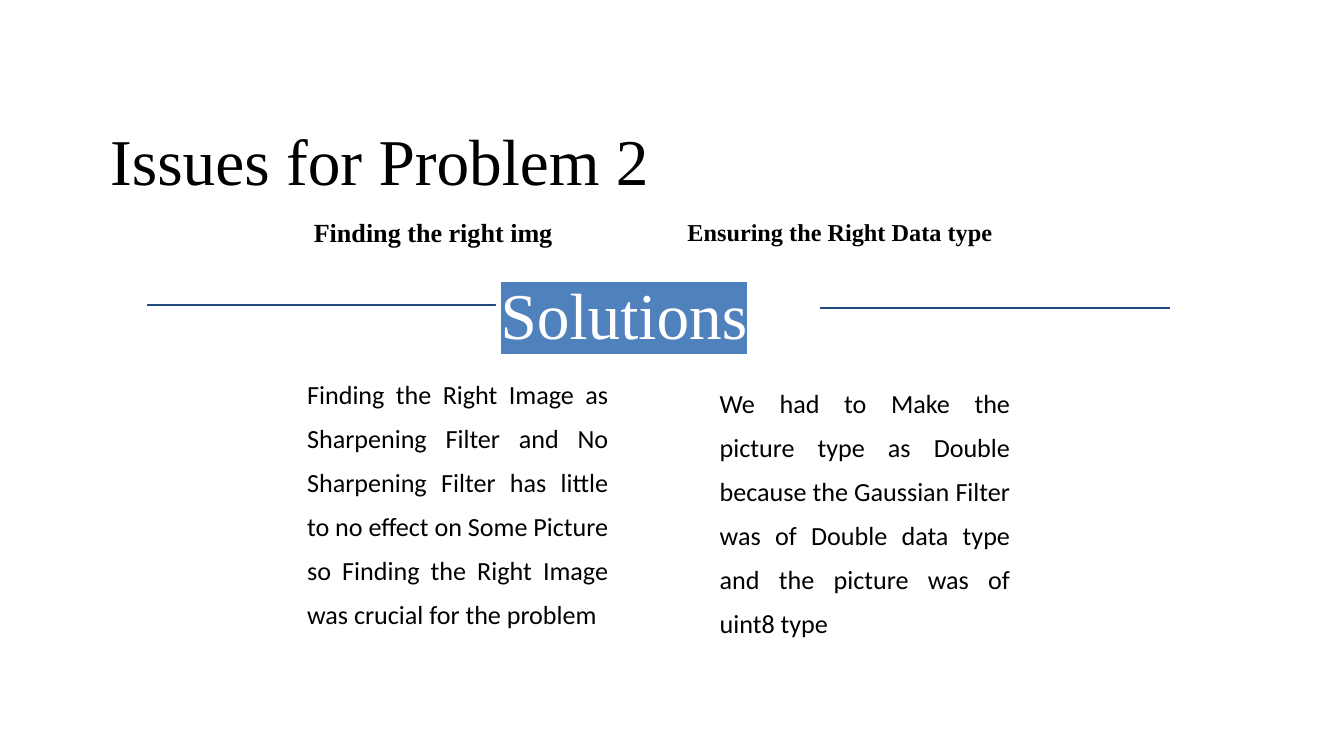
from dataclasses import dataclass

from lxml.etree import Element, SubElement
from pptx import Presentation
from pptx.dml.color import RGBColor
from pptx.enum.shapes import MSO_SHAPE
from pptx.enum.text import MSO_AUTO_SIZE, PP_ALIGN
from pptx.oxml.ns import qn
from pptx.slide import Slide
from pptx.util import Inches, Pt

SERIF = "Times New Roman"
SANS = "Calibri"


@dataclass
class Passage:
    words: str
    left: float
    top: float
    width: float
    height: float
    size: int
    font: str = SERIF
    spacing: float = 1.4
    color: str = "000000"
    bold: bool = False
    align: PP_ALIGN = PP_ALIGN.LEFT
    highlight: str = ""


@dataclass
class Rule:
    left: float
    top: float
    width: float = 7.05
    height: float = 0.1


def rgb(value: str) -> RGBColor:
    return RGBColor.from_string(value)


def add_passage(slide: Slide, passage: Passage) -> None:
    box = slide.shapes.add_textbox(
        Inches(passage.left), Inches(passage.top),
        Inches(passage.width), Inches(passage.height))
    frame = box.text_frame
    frame.text = passage.words
    frame.word_wrap = True
    frame.auto_size = MSO_AUTO_SIZE.SHAPE_TO_FIT_TEXT
    frame.margin_left = frame.margin_right = Inches(0)
    frame.margin_top = frame.margin_bottom = Inches(0)

    paragraph = frame.paragraphs[0]
    paragraph.alignment = passage.align
    paragraph.line_spacing = passage.spacing
    run = paragraph.runs[0]
    run.font.name = passage.font
    run.font.size = Pt(passage.size)
    run.font.bold = passage.bold
    run.font.color.rgb = rgb(passage.color)

    # The highlight has to follow the text fill
    if passage.highlight:
        highlight = Element(qn("a:highlight"))
        SubElement(highlight, qn("a:srgbClr"), val=passage.highlight)
        run._r.get_or_add_rPr().find(qn("a:solidFill")).addnext(highlight)


def add_rule(slide: Slide, rule: Rule) -> None:
    bar = slide.shapes.add_shape(
        MSO_SHAPE.MATH_MINUS, Inches(rule.left), Inches(rule.top),
        Inches(rule.width), Inches(rule.height))
    bar.shadow.inherit = False
    bar.fill.solid()
    bar.fill.fore_color.rgb = rgb("EEECE1")
    bar.line.color.rgb = rgb("1F497D")
    bar.line.width = Pt(0.75)


PASSAGES = [
    # Title
    Passage("Issues for Problem 2", 1.64, 1.67, 13.73, 1.18, 70, spacing=1.1),
    # First issue and its solution
    Passage("Finding the right img", 4.67, 3.04, 5.06, 0.47, 28, bold=True),
    Passage("Finding the Right Image as Sharpening Filter and No Sharpening "
            "Filter has little to no effect on Some Picture so Finding the "
            "Right Image was crucial for the problem",
            4.57, 5.45, 4.48, 3.77, 28, SANS, align=PP_ALIGN.JUSTIFY),
    # Second issue and its solution
    Passage("Ensuring the Right Data type", 10.23, 3.06, 5.75, 0.44, 26,
            bold=True),
    Passage("We had to Make the picture type as Double because the Gaussian "
            "Filter was of Double data type and the picture was of uint8 type",
            10.71, 5.58, 4.32, 3.11, 28, SANS, align=PP_ALIGN.JUSTIFY),
    # Solutions heading
    Passage("Solutions", 7.45, 3.97, 5.1, 1.18, 70, spacing=1.1,
            color="FFFFFF", highlight="4F81BD"),
]

# Rules on both sides of the solutions heading
RULES = [Rule(1.26, 4.49), Rule(11.28, 4.53)]


def main() -> None:
    deck = Presentation()
    deck.slide_width, deck.slide_height = Inches(20), Inches(11.25)
    slide = deck.slides.add_slide(deck.slide_layouts[6])
    slide.background.fill.solid()
    slide.background.fill.fore_color.rgb = rgb("FFFFFF")

    for passage in PASSAGES:
        add_passage(slide, passage)
    for rule in RULES:
        add_rule(slide, rule)

    deck.save("out.pptx")


if __name__ == "__main__":
    main()
